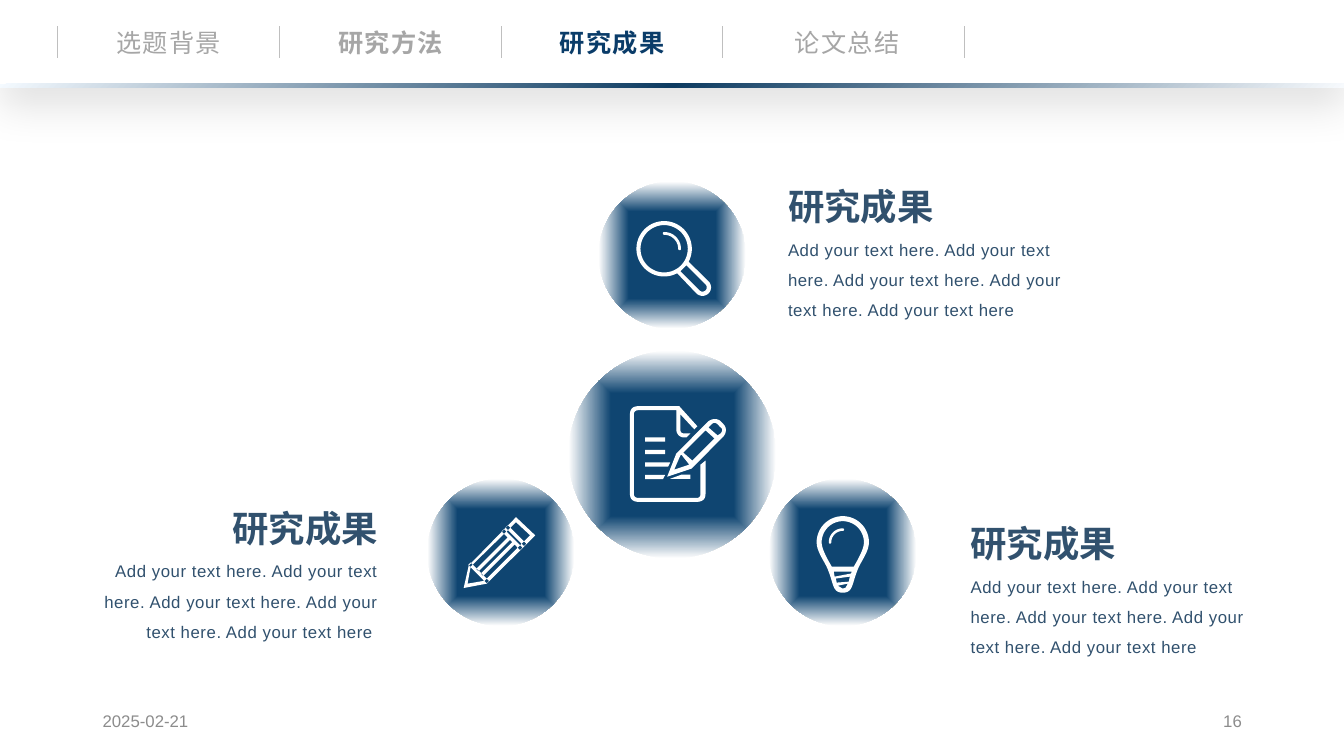
"""Build the research results slide with its navigation bar, icon discs and captions."""
import math

import pptx
import pptx.dml.color
import pptx.enum.shapes
import pptx.enum.text
import pptx.oxml
import pptx.oxml.ns
import pptx.util

Pt = pptx.util.Pt
ALIGN = pptx.enum.text.PP_ALIGN
AUTO_SIZE = pptx.enum.text.MSO_AUTO_SIZE
ANCHOR = pptx.enum.text.MSO_ANCHOR
SHAPE = pptx.enum.shapes.MSO_SHAPE
WHITE, NAVY, SLATE, GREY = "FFFFFF", "0A3C69", "31516E", "A6A6A6"
DISC_STOPS = [(59, "0F4571"), (100, WHITE)]
RULE_STOPS = [(0, "F7FAFD"), (50, "0D3B61"), (100, "F4FAFF")]
HEADING = "研究成果"
BODY = " ".join(["Add your text here."] * 4 + ["Add your text here"])
TABS = [("选题背景", 74.9, False), ("研究方法", 233.3, True), (HEADING, 391.7, True), ("论文总结", 559.4, False)]
SEPARATORS = [41, 199.4, 357.8, 516.2, 689]


def rgb(value):
    """Turn a hex string into a colour."""
    return pptx.dml.color.RGBColor.from_string(value)


def xml(markup):
    """Make a drawing element from markup that uses the a prefix."""
    head, tail = markup.split(">", 1)
    slash = "/" if head.endswith("/") else ""
    return pptx.oxml.parse_xml(f'{head.rstrip("/")} {pptx.oxml.ns.nsdecls("a")}{slash}>{tail}')


def fill_text(box, text, size, color, bold=False, align=ALIGN.LEFT, spacing=0, line=1.0, **frame_format):
    """Write one formatted paragraph into a box."""
    for name, value in frame_format.items():
        setattr(box.text_frame, name, value)
    para = box.text_frame.paragraphs[0]
    para.alignment, para.line_spacing = align, line
    span = para.add_run()
    span.text = text
    for name, value in {"name": "Arial", "size": Pt(size), "bold": bold}.items():
        setattr(span.font, name, value)
    span.font.color.rgb = rgb(color)
    if spacing:
        span._r.get_or_add_rPr().set("spc", str(round(spacing * 100)))


def add_text(page, left, top, width, height, text, size, color, **text_format):
    """Add a text box with one paragraph."""
    box = page.shapes.add_textbox(Pt(left), Pt(top), Pt(width), Pt(height))
    fill_text(box, text, size, color, **{"word_wrap": True, **text_format})


def paint(shape, color):
    """Give a shape a plain fill without line or shadow."""
    shape.shadow.inherit = False
    shape.fill.solid()
    shape.fill.fore_color.rgb = rgb(color)
    shape.line.fill.background()


def paint_gradient(shape, stops, style, left, top, right, bottom):
    """Give a shape a path gradient that runs out from a focus rectangle."""
    paint(shape, WHITE)
    marks = "".join(f'<a:gs pos="{place * 1000}"><a:srgbClr val="{color}"/></a:gs>' for place, color in stops)
    focus = f'<a:fillToRect l="{left}000" t="{top}000" r="{right}000" b="{bottom}000"/>'
    gradient = xml(f'<a:gradFill rotWithShape="1"><a:gsLst>{marks}</a:gsLst>'
                   f'<a:path path="{style}">{focus}</a:path></a:gradFill>')
    properties = shape.element.spPr
    properties.replace(properties.find(pptx.oxml.ns.qn("a:solidFill")), gradient)


def add_disc(page, center, diameter):
    """Add a soft-edged disc around a centre."""
    left, top = (Pt(value - diameter / 2) for value in center)
    disc = page.shapes.add_shape(SHAPE.OVAL, left, top, Pt(diameter), Pt(diameter))
    paint_gradient(disc, DISC_STOPS, "shape", 50, 50, 50, 50)


def arc(x, y, radius, start, stop):
    """List points along a circular arc, with angles in degrees."""
    steps = max(6, round(abs(stop - start) / 6))
    angles = [math.radians(start + (stop - start) * step / steps) for step in range(steps + 1)]
    return [(x + radius * math.cos(angle), y + radius * math.sin(angle)) for angle in angles]


def glint(x, y, outer, inner, start, stop):
    """Outline an arc band with round ends."""
    middle, cap = (outer + inner) / 2, (outer - inner) / 2
    (first_x, first_y), (last_x, last_y) = arc(x, y, middle, start, stop)[::len(arc(x, y, middle, start, stop)) - 1]
    return (arc(x, y, outer, start, stop) + arc(last_x, last_y, cap, stop, stop + 180)
            + arc(x, y, inner, stop, start) + arc(first_x, first_y, cap, start + 180, start + 360))


def strip(x, y, across, along):
    """Outline a rectangle that is turned by 45 degrees."""
    return [(x, y), (x - across, y + across), (x - across + along, y + across + along), (x + along, y + along)]


def bezier(points, share):
    """Find the point at a share of a Bezier curve."""
    while len(points) > 1:
        points = [(a[0] + (b[0] - a[0]) * share, a[1] + (b[1] - a[1]) * share) for a, b in zip(points, points[1:])]
    return points[0]


def flatten(contour):
    """Turn points and curves, given as control points and an end, into points."""
    points = [contour[0]]
    for item in contour[1:]:
        controls = [points[-1], *zip(item[::2], item[1::2])]
        steps = 1 if len(item) == 2 else 10
        points += [bezier(controls, step / steps) for step in range(1, steps + 1)]
    return points


def mirrored(half):
    """Complete the right half of an outline with its left half."""
    points = flatten(half)
    return points + [(-x, y) for x, y in reversed(points)]


def add_icon(page, center, contours, color=WHITE):
    """Add an outline whose contours are given around a centre."""
    builder = None
    for contour in contours:
        points = [(Pt(center[0] + x), Pt(center[1] + y)) for x, y in flatten(contour)]
        if builder is None:
            builder = page.shapes.build_freeform(*points[0])
        else:
            builder.move_to(*points[0])
        builder.add_line_segments(points[1:], close=True)
    shape = builder.convert_to_shape()
    paint(shape, color)
    return shape


def document_contours():
    """Outline the sheet with a pen."""
    ends = [(-5, -5), (-5, -5), (-1.4, -2.9), (-5, -6.5)]
    tops = [-12.2 + 8.9 * row for row in range(4)]
    rows = [[(-19.4, y), (a, y), (b, y + 3), (-19.4, y + 3)] for y, (a, b) in zip(tops, ends)]
    pen = [(36.7, -13), (13.7, 10.1), (-3.6, 15.8), (2.9, -0.7), (25.9, -23.8),
           (28.8, -25.9, 32.4, -25.9, 34.6, -23.8), (36.7, -21.6), (38.9, -19.4, 38.9, -15.8, 36.7, -13)]
    tip = [(1.4, 10.8), (12.2, 7.2), (6.5, 0), (5.8, 0.7)]
    shaft = [(7.9, -1.4), (14.4, 4.3), (30.2, -11.5), (23.8, -17.3)]
    cap = [(34.6, -19.4), (32.4, -21.6), (31, -23, 29.5, -23, 28.1, -21.6), (25.9, -19.4), (32.4, -13.7),
           (34.6, -15.1), (36, -16.6, 36, -18.7, 34.6, -19.4)]
    sheet = [(5.8, -28.8), (5.8, -18), (5.8, -15.1, 8.6, -15.1), (13, -15.1), (10.1, -12.2), (8.6, -12.2),
             (5, -12.2, 2.9, -15.1, 2.9, -18), (2.9, -31.7), (-23.8, -31.7), (-27.4, -31.7, -27.4, -28.8),
             (-27.4, 28.1), (-27.4, 31, -23.8, 31), (17.3, 31), (20.2, 31, 20.2, 28.1), (20.2, 7.2), (23.8, 4.3),
             (23.8, 28.1), (23.8, 33.8, 17.3, 33.8), (-23.8, 33.8), (-30.2, 33.8, -30.2, 28.1), (-30.2, -28.8),
             (-30.2, -34.6, -23.8, -34.6), (5, -34.6), (18, -20.2), (15.8, -18)]
    return [sheet, pen, tip, shaft, cap, *rows, [(13, 14.4), (13, 17.3), (-1.4, 17.3), (6.5, 14.4)]]


def magnifier_contours():
    """Outline the magnifying glass."""
    body = arc(-5.8, -4.5, 19.8, 62, 388) + arc(21.6, 23.05, 6.1, -45, 135)
    grip = arc(21.6, 23.05, 3.05, -45, 135) + [(5.8, 11.5), (10.1, 7.2)]
    return [body, grip, arc(-5.8, -4.5, 16.9, 0, 360)]


def bulb_contours():
    """Outline the light bulb."""
    body = arc(0, -7.2, 18.7, -90, 0) + [(18.7, 0, 12.2, 7.2, 10.1, 13.7), (6.5, 23, 7.2, 28.8, 0, 28.8)]
    glass = arc(0, -7.2, 15.1, -90, 0) + [(15.1, -3.6, 13, 0.7, 10.8, 5), (7.9, 10.1)]
    return [mirrored(body), mirrored(glass), [(-5.8, 17.3), (-6.5, 13.7), (6.5, 13.7), (5.8, 15.1)],
            [(4.3, 20.9), (-4.3, 21.6), (-5, 18.7), (5, 17.3)], [(0, 25.9), (-3.6, 23.8), (3.6, 22.3), (2, 25.2)]]


def pencil_contours():
    """Outline the pencil."""
    inside = [(10.8, -21.6), (20.9, -12.2), (-11.5, 20.2), (-23.8, 22.3), (-21.6, 10.1)]
    outside = [(10.8, -25.2), (-23, 9.4), (-26.6, 25.4), (-10.1, 22.3), (24.5, -12.2)]
    bands = [strip(x, y, 1.7, 13.2) for x, y in [(5, -19.4), (2.2, -16.6), (-21.6, 7.2)]]
    return [inside, outside, *bands, *(strip(5 + step, -10.8 + step, 22.7, 1.7) for step in (0, 3.3))]


def add_caption(page, heading_left, body_left, top, body, align):
    """Add a heading with its text below."""
    style = {"align": align, "auto_size": AUTO_SIZE.SHAPE_TO_FIT_TEXT}
    add_text(page, heading_left, top, 193, 38.9, HEADING, 26, SLATE, bold=True, **style)
    add_text(page, body_left, top + 32.2, 224.6, 72.7, body, 12, SLATE, spacing=0.4, line=1.5, **style)


def add_navigation(page):
    """Add the top bar with its tabs, separators and gradient rule."""
    bar = page.shapes.add_shape(SHAPE.RECTANGLE, 0, Pt(-0.7), Pt(960), Pt(62.6))
    paint(bar, WHITE)
    bar.element.spPr.find(pptx.oxml.ns.qn("a:effectLst")).append(xml(
        f'<a:outerShdw blurRad="{Pt(28)}" dist="{Pt(15)}" dir="5400000" algn="t" rotWithShape="0">'
        '<a:srgbClr val="000000"><a:alpha val="11000"/></a:srgbClr></a:outerShdw>'))
    style = {"align": ALIGN.CENTER, "spacing": 1, "word_wrap": False, "auto_size": AUTO_SIZE.SHAPE_TO_FIT_TEXT}
    for text, left, bold in TABS:
        if text != HEADING:
            add_text(page, left, 15.8, 91.4, 28.8, text, 18, GREY, bold=bold, **style)
            continue
        title = page.shapes.title
        for name, value in {"left": left, "top": 15.8, "width": 91.4, "height": 28.8}.items():
            setattr(title, name, Pt(value))
        fill_text(title, text, 18, NAVY, bold=bold, vertical_anchor=ANCHOR.TOP, **style)
        bar.element.addnext(title.element)
    for x in SEPARATORS:
        line = page.shapes.add_connector(pptx.enum.shapes.MSO_CONNECTOR.STRAIGHT, Pt(x), Pt(18.7), Pt(x), Pt(41.8))
        line.line.color.rgb = rgb("BFBFBF")
        line.line.width = Pt(0.5)
        line.element.spPr.append(xml("<a:effectLst/>"))
    rule = add_icon(page, (0, 59.8), [[(0, 0), (960, 0), (960, 2.9), (0, 2.9)]])
    paint_gradient(rule, RULE_STOPS, "circle", 100, 100, 0, 0)


def main():
    """Build the slide and save the deck."""
    deck = pptx.Presentation()
    deck.slide_width, deck.slide_height = Pt(960), Pt(540)
    page = deck.slides.add_slide(deck.slide_layouts[5])
    for left, text, align in [(66.2, "2025-02-21", ALIGN.LEFT), (678.2, "16", ALIGN.RIGHT)]:
        add_text(page, left, 500.4, 216, 28.8, text, 12, "8C8C8C", align=align, vertical_anchor=ANCHOR.MIDDLE)
    add_caption(page, 555.8, 555.8, 128.2, BODY, ALIGN.LEFT)
    add_caption(page, 686.2, 686.2, 369, BODY, ALIGN.LEFT)
    add_caption(page, 84.2, 52.6, 357.8, BODY + " ", ALIGN.RIGHT)
    document, magnifier, bulb, pencil = (480.2, 324.7), (480.2, 182.2), (602, 394.6), (357.8, 394.6)
    for center, diameter in [(document, 148.3), (magnifier, 105.1), (bulb, 105.1), (pencil, 105.1)]:
        add_disc(page, center, diameter)
    add_icon(page, document, document_contours())
    add_icon(page, magnifier, magnifier_contours())
    add_icon(page, magnifier, [glint(-5.8, -4.5, 12, 10, -90, 0)])
    add_icon(page, bulb, bulb_contours())
    add_icon(page, bulb, [glint(0, -7.2, 10, 8.2, 180, 270)])
    add_icon(page, pencil, pencil_contours())
    add_navigation(page)
    deck.save("out.pptx")


if __name__ == "__main__":
    main()
